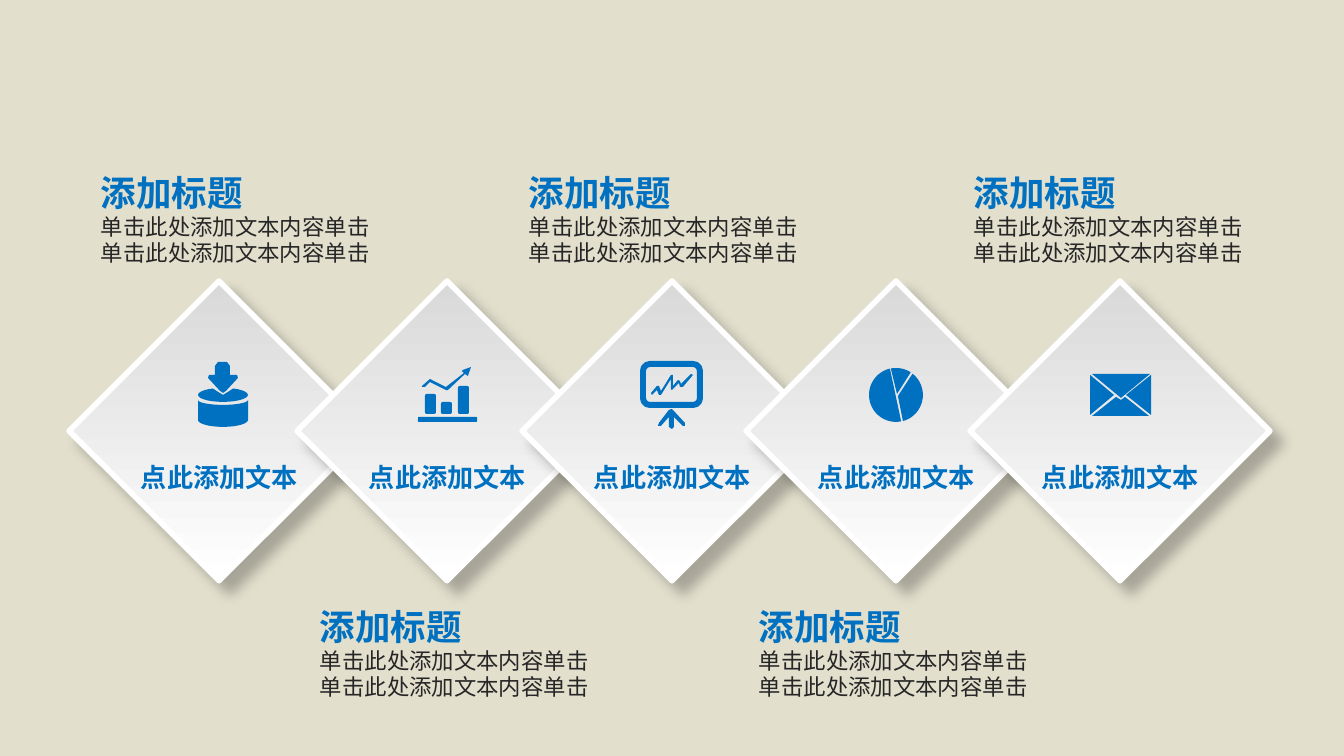
"""Build a slide of five overlapping diamond steps with icons and captions."""
import math
from lxml import etree
from pptx import Presentation
from pptx import util as u
from pptx.dml.color import RGBColor
from pptx.enum import shapes, text
from pptx.oxml import ns

BLUE = RGBColor(0x00, 0x70, 0xC0)
DARK = RGBColor(0x26, 0x26, 0x26)
GREY = RGBColor(0xD9, 0xD9, 0xD9)
WHITE = RGBColor(0xFF, 0xFF, 0xFF)
SAND = RGBColor(0xE2, 0xDF, 0xCD)
CJK = "Noto Sans CJK SC"
PX = 9144000 / 1344


def arc(cx, cy, rx, ry, start, end):
    angles = [math.radians(start + (end - start) * i / 24) for i in range(25)]
    return [(cx + rx * math.cos(a), cy + ry * math.sin(a)) for a in angles]


def add_text(parent, box, lines, align, east_asian):
    frame = parent.add_textbox(*[u.Emu(round(n * PX)) for n in box]).text_frame
    frame.word_wrap = True
    frame.margin_left = frame.margin_right = round(10 * PX)
    frame.margin_top = frame.margin_bottom = round(5 * PX)
    for i, (words, size, face, color, bold, spacing) in enumerate(lines):
        line = frame.add_paragraph() if i else frame.paragraphs[0]
        line.text = words
        line.alignment = align
        line.line_spacing = spacing
        line.font.size = u.Pt(size)
        line.font.bold = bold
        line.font.color.rgb = color
        line.font.name = face
        defaults = line._p.pPr.find(ns.qn("a:defRPr"))
        etree.SubElement(defaults, ns.qn("a:ea"), typeface=east_asian)


download = [
    [arc(223, 420, 25, 7, 0, 180) + arc(223, 400, 25, 5, 180, 0),
     [(220, 391), (223, 393), (226, 391), (238, 378), (237, 375), (230, 375),
      (230, 366), (227, 362), (218, 362), (215, 366), (215, 375), (209, 375),
      (208, 378)],
     arc(223, 395, 25, 7, -66, 246) + [(218, 392), (223, 395), (228, 392)]],
]
trend = [
    [[(425, 387), (430, 382), (446, 390), (448, 390), (465, 374), (468, 376),
      (471, 367), (463, 370), (462, 371), (464, 373), (446, 387), (430, 379),
      (422, 386), (422, 387)]],
]
board = [
    [[(685, 423), (673, 410), (672, 409), (669, 410), (659, 423), (658, 426),
      (661, 426), (669, 417), (669, 427), (672, 429), (674, 427), (674, 417),
      (683, 426), (685, 426)]],
    [[(651, 393), (657, 386), (659, 386), (661, 391), (671, 375), (673, 375),
      (673, 386), (678, 380), (680, 381), (681, 384), (691, 374), (693, 375),
      (683, 387), (680, 387), (679, 383), (672, 390), (671, 389), (671, 379),
      (661, 395), (659, 395), (657, 390), (652, 395)]],
]
pie = [
    [arc(896, 395, 27, 27, -101, -57) + [(897, 394)]],
    [arc(896, 395, 27, 27, -52, 75) + [(898, 396)]],
    [arc(896, 395, 27, 27, 79, 257)],
]
envelope = [
    [[(1092, 374), (1150, 374), (1121, 398)],
     [(1121, 400), (1116, 397), (1092, 416), (1149, 416), (1125, 397)],
     [(1090, 375), (1090, 415), (1114, 395)],
     [(1151, 375), (1151, 415), (1126, 395)]],
]
bars = [(425, 394, 11, 20), (441, 402, 11, 12), (458, 386, 11, 28), (418, 417, 59, 5)]
screen = [(643, 364, 57, 41)]
steps = [
    (219, download, [], 91, 164),
    (447, trend, bars, 310, 598),
    (672, board, screen, 519, 164),
    (896, pie, [], 749, 598),
    (1120, envelope, [], 964, 164),
]

prs = Presentation()
prs.slide_width = u.Emu(9144000)
prs.slide_height = u.Emu(round(756 * PX))
slide = prs.slides.add_slide(prs.slide_layouts[6])
slide.background.fill.solid()
slide.background.fill.fore_color.rgb = SAND

for center, outlines, rounded, _, _ in steps:
    step = slide.shapes.add_group_shape().shapes
    box = (center - 106, 325, 212, 212)
    diamond = step.add_shape(shapes.MSO_SHAPE.RECTANGLE, *[round(n * PX) for n in box])
    diamond.rotation = 45
    diamond.fill.gradient()
    diamond.fill.gradient_angle = 315
    for stop, color, position in zip(diamond.fill.gradient_stops, (GREY, WHITE), (0, 1)):
        stop.color.rgb = color
        stop.position = position
    diamond.line.color.rgb = WHITE
    diamond.line.width = u.Pt(3)
    diamond.shadow.inherit = False
    effects = diamond._element.spPr.find(ns.qn("a:effectLst"))
    shade = etree.SubElement(effects, ns.qn("a:outerShdw"), blurRad=str(u.Pt(7)),
                             dist=str(u.Pt(8)), dir="2700000", algn="tl", rotWithShape="0")
    black = etree.SubElement(shade, ns.qn("a:srgbClr"), val="000000")
    etree.SubElement(black, ns.qn("a:alpha"), val="25000")

    for box in rounded:
        part = step.add_shape(shapes.MSO_SHAPE.ROUNDED_RECTANGLE, *[round(n * PX) for n in box])
        part.shadow.inherit = False
        if rounded is screen:
            part.fill.background()
            part.line.color.rgb = BLUE
            part.line.width = round(6 * PX)
        else:
            part.fill.solid()
            part.fill.fore_color.rgb = BLUE
            part.line.fill.background()

    for contours in outlines:
        builder = None
        for contour in contours:
            points = [(x * PX, y * PX) for x, y in contour]
            if builder is None:
                builder = step.build_freeform(*points[0], scale=1.0)
            else:
                builder.move_to(*points[0])
            builder.add_line_segments(points[1:], close=True)
        icon = builder.convert_to_shape()
        icon.shadow.inherit = False
        icon.fill.solid()
        icon.fill.fore_color.rgb = BLUE
        icon.line.fill.background()

    add_text(step, (center - 117, 456, 235, 74),
             [("点此添加文本", 14, CJK, BLUE, True, None)], text.PP_ALIGN.CENTER, CJK)

heading = ("添加标题", 19, "Arial", BLUE, True, u.Pt(24))
detail = ("单击此处添加文本内容单击", 12, "Arial", DARK, False, u.Pt(14))
for _, _, _, left, top in steps:
    add_text(slide.shapes, (left, top, 305, 108), [heading, detail, detail],
             text.PP_ALIGN.LEFT, CJK)

prs.save("out.pptx")
